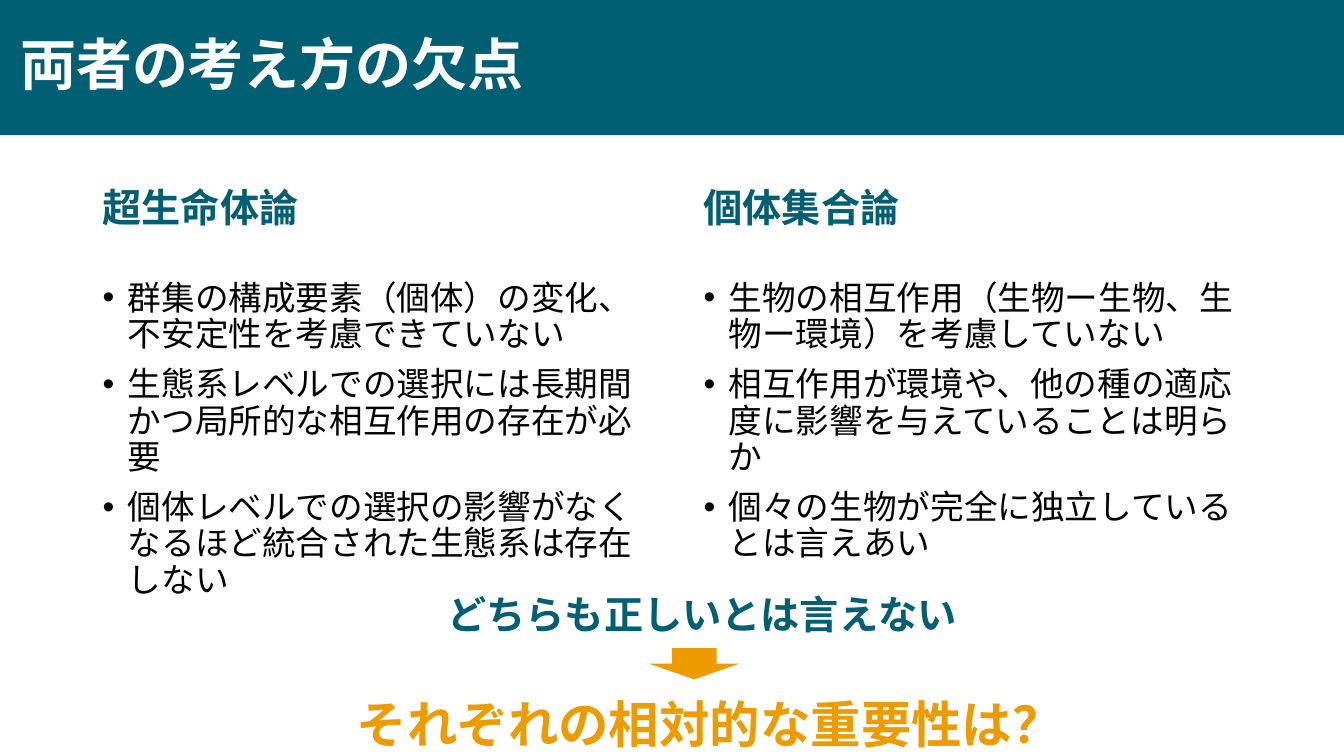
import pptx
import pptx.util
import pptx.dml.color
import pptx.enum.shapes
import pptx.enum.text
import pptx.oxml
import pptx.oxml.ns

Inches = pptx.util.Inches
Pt = pptx.util.Pt
ALIGN = pptx.enum.text.PP_ALIGN
ANCHOR = pptx.enum.text.MSO_ANCHOR
SHAPE = pptx.enum.shapes.MSO_SHAPE

TITLE = "両者の考え方の欠点"
THEORIES = [
    ("超生命体論", [
        "群集の構成要素（個体）の変化、不安定性を考慮できていない",
        "生態系レベルでの選択には長期間かつ局所的な相互作用の存在が必要",
        "個体レベルでの選択の影響がなくなるほど統合された生態系は存在しない",
    ]),
    ("個体集合論", [
        "生物の相互作用（生物ー生物、生物ー環境）を考慮していない",
        "相互作用が環境や、他の種の適応度に影響を与えていることは明らか",
        "個々の生物が完全に独立しているとは言えあい",
    ]),
]
CONCLUSION = "どちらも正しいとは言えない"
QUESTION = "それぞれの相対的な重要性は？"

COLORS = {"teal": "005F73", "amber": "EE9B00", "black": "000000", "white": "FFFFFF"}
JAPANESE = "Noto Sans CJK JP"
LATIN = "Arial"
COLUMN_LEFT, COLUMN_WIDTH, COLUMN_STEP = 0.92, 5.53, 5.96


def color(name):
    return pptx.dml.color.RGBColor.from_string(COLORS[name])


def add_child(parent, tag, **attributes):
    child = pptx.oxml.parse_xml(f"<a:{tag} {pptx.oxml.ns.nsdecls('a')}/>")
    for key, value in attributes.items():
        child.set(key, value)
    parent.append(child)


def add_text(frame, lines, size, shade, font=JAPANESE, bold=True,
             spacing=None, before=0, align=ALIGN.LEFT, bullet=False):
    for index, line in enumerate(lines):
        para = frame.paragraphs[0] if index == 0 else frame.add_paragraph()
        para.alignment = align
        para.line_spacing = spacing
        para.space_before = Pt(before)
        if bullet:
            properties = para._p.get_or_add_pPr()
            properties.set("marL", str(Inches(0.25)))
            properties.set("indent", str(-Inches(0.25)))
            add_child(properties, "buFont", typeface=LATIN)
            add_child(properties, "buChar", char="•")
        span = para.add_run()
        span.text = line
        span.font.size = Pt(size)
        span.font.bold = bold
        span.font.name = font
        span.font.color.rgb = color(shade)
        add_child(span._r.get_or_add_rPr(), "ea", typeface=JAPANESE)


def add_box(page, left, top, width, height, wrap=True):
    box = page.shapes.add_textbox(Inches(left), Inches(top), Inches(width), Inches(height))
    box.text_frame.word_wrap = wrap
    return box.text_frame


def add_block(page, kind, left, top, width, height, shade):
    block = page.shapes.add_shape(kind, Inches(left), Inches(top), Inches(width), Inches(height))
    block.shadow.inherit = False
    block.fill.solid()
    block.fill.fore_color.rgb = color(shade)
    block.line.fill.background()
    return block


def main():
    deck = pptx.Presentation()
    deck.slide_width = Inches(13.33)
    deck.slide_height = Inches(7.5)
    page = deck.slides.add_slide(deck.slide_layouts[6])

    banner = add_block(page, SHAPE.RECTANGLE, 0, 0, 13.33, 1.34, "teal").text_frame
    banner.margin_left = Inches(0.2)
    banner.vertical_anchor = ANCHOR.MIDDLE
    add_text(banner, [TITLE], 40, "white", font=LATIN, spacing=0.9)

    for index, (heading, points) in enumerate(THEORIES):
        left = COLUMN_LEFT + index * COLUMN_STEP
        add_text(add_box(page, left, 1.82, COLUMN_WIDTH, 0.73), [heading],
                 28, "teal", spacing=0.9, before=10)
        add_text(add_box(page, left, 2.74, COLUMN_WIDTH, 3.6), points,
                 24, "black", bold=False, spacing=0.9, before=10, bullet=True)

    add_text(add_box(page, 4.34, 5.81, 5.31, 0.57, wrap=False), [CONCLUSION],
             28, "teal", font=LATIN)
    add_block(page, SHAPE.DOWN_ARROW, 6.44, 6.43, 0.89, 0.31, "amber")
    add_text(add_box(page, 2.54, 6.83, 9, 0.71), [QUESTION],
             36, "amber", font=LATIN, align=ALIGN.CENTER)

    deck.save("out.pptx")


if __name__ == "__main__":
    main()
